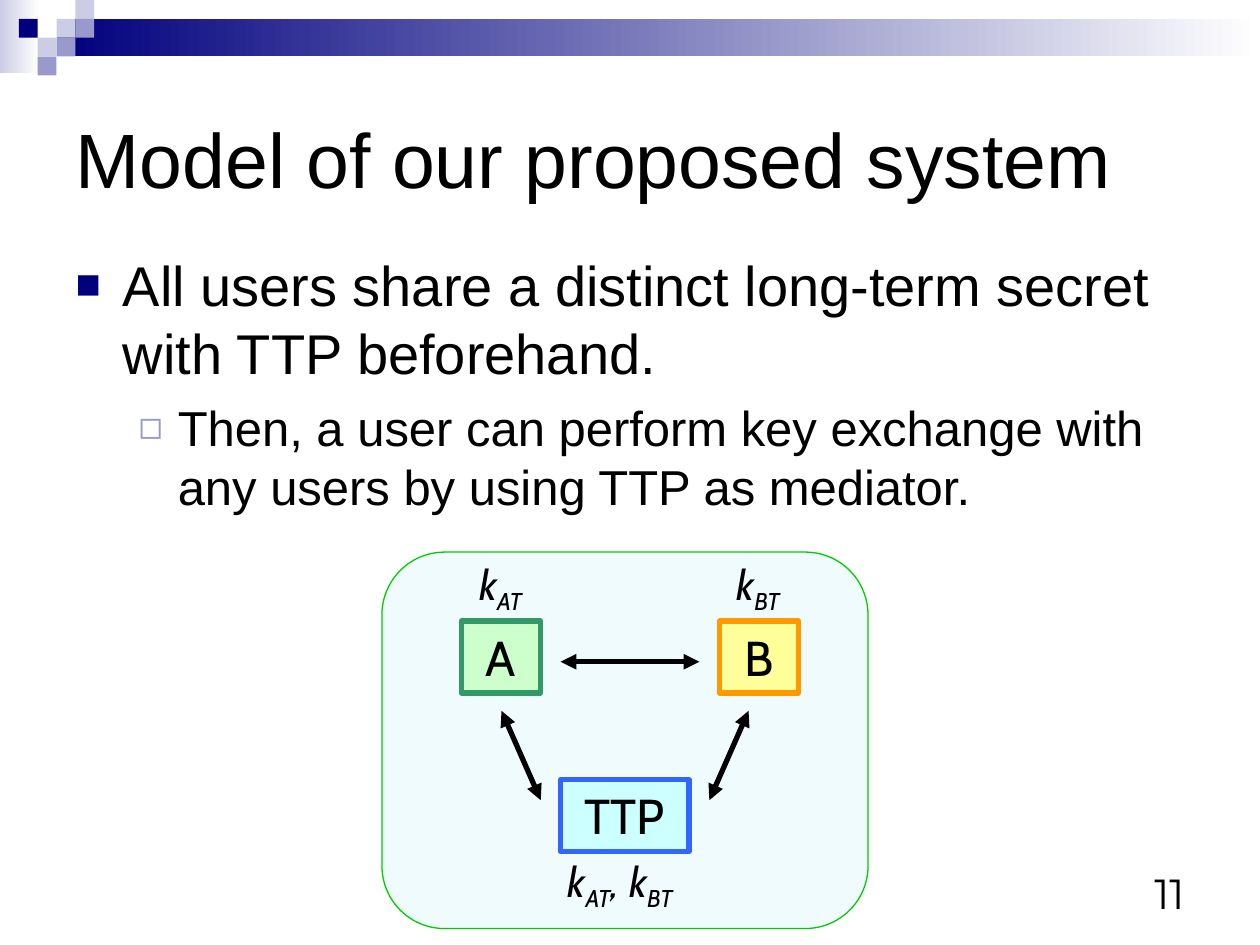
from lxml.etree import SubElement
from pptx import Presentation
from pptx.dml.color import RGBColor
from pptx.enum.shapes import MSO_CONNECTOR, MSO_SHAPE
from pptx.enum.text import MSO_ANCHOR, MSO_AUTO_SIZE, PP_ALIGN
from pptx.oxml.ns import qn
from pptx.util import Cm, Pt

BLACK = RGBColor(0x00, 0x00, 0x00)
WHITE = RGBColor(0xFF, 0xFF, 0xFF)
NAVY = RGBColor(0x00, 0x00, 0x7D)
LAVENDER = RGBColor(0x99, 0x99, 0xCC)
PALE_LAVENDER = RGBColor(0xCC, 0xCC, 0xE6)
PANEL_FILL = RGBColor(0xF0, 0xFB, 0xFE)
PANEL_LINE = RGBColor(0x00, 0xCC, 0x00)
GREEN_FILL = RGBColor(0xCC, 0xFF, 0xCC)
GREEN_LINE = RGBColor(0x33, 0x99, 0x66)
YELLOW_FILL = RGBColor(0xFF, 0xFF, 0x99)
ORANGE_LINE = RGBColor(0xFF, 0x99, 0x00)
CYAN_FILL = RGBColor(0xCC, 0xFF, 0xFF)
BLUE_LINE = RGBColor(0x33, 0x66, 0xFF)

GRID = 0.38  # side of a decoration square, in cm


class SlideBuilder:
    """Holds the style and the current slide; all lengths are in cm."""

    text_font = "Arial"
    diagram_font = "Cabin"
    number_font = "Montserrat"
    # bullet character, colour, size in percent, left margin, hanging, space before, text size
    levels = [
        ("■", NAVY, 75, 0.95, 0.95, 8, 32),
        ("◻", LAVENDER, 80, 2.06, 0.79, 7, 28),
    ]

    def __init__(self, presentation):
        self.slide = presentation.slides.add_slide(presentation.slide_layouts[1])

    def place(self, shape, box):
        shape.left, shape.top, shape.width, shape.height = (Cm(length) for length in box)

    def add_run(self, paragraph, text, size, font, italic=False, baseline=None):
        run = paragraph.add_run()
        run.text = text
        run.font.size = Pt(size)
        run.font.name = font
        run.font.color.rgb = BLACK
        if italic:
            run.font.italic = True
        if baseline:
            run.font._element.set("baseline", str(baseline * 1000))

    def title(self, text, box):
        shape = self.slide.shapes.title
        self.place(shape, box)
        frame = shape.text_frame
        frame.auto_size = MSO_AUTO_SIZE.NONE
        frame.vertical_anchor = MSO_ANCHOR.MIDDLE
        frame.paragraphs[0].alignment = PP_ALIGN.LEFT
        self.add_run(frame.paragraphs[0], text, 44, self.text_font)

    def bullets(self, items, box):
        """Fill the body placeholder with (level, text) items."""
        shape = self.slide.placeholders[1]
        self.place(shape, box)
        frame = shape.text_frame
        frame.auto_size = MSO_AUTO_SIZE.NONE
        for index, (level, text) in enumerate(items):
            paragraph = frame.add_paragraph() if index else frame.paragraphs[0]
            character, color, percent, margin, hanging, before, size = self.levels[level]
            paragraph.level = level
            paragraph.space_before = Pt(before)
            properties = paragraph._p.get_or_add_pPr()
            properties.set("marL", str(Cm(margin)))
            properties.set("indent", str(-Cm(hanging)))
            bullet_color = SubElement(properties, qn("a:buClr"))
            SubElement(bullet_color, qn("a:srgbClr"), val=str(color))
            SubElement(properties, qn("a:buSzPct"), val=str(percent * 1000))
            SubElement(properties, qn("a:buFont"), typeface=self.text_font)
            SubElement(properties, qn("a:buChar"), char=character)
            self.add_run(paragraph, text, size, self.text_font)

    def shape(self, box, fill=None, line=None, width=0.75, kind=MSO_SHAPE.RECTANGLE):
        shape = self.slide.shapes.add_shape(kind, *(Cm(length) for length in box))
        shape.shadow.inherit = False
        if fill is not None:
            shape.fill.solid()
            shape.fill.fore_color.rgb = fill
        if line is None:
            shape.line.fill.background()
        else:
            shape.line.color.rgb = line
            shape.line.width = Pt(width)
        return shape

    def fade(self, box, color):
        """Rectangle that fades from the colour at the left to white."""
        fill = self.shape(box).fill
        fill.gradient()
        fill.gradient_angle = 0
        for stop, stop_color in zip(fill.gradient_stops, (color, WHITE)):
            stop.color.rgb = stop_color

    def party(self, name, box, fill, line):
        frame = self.shape(box, fill, line, 3).text_frame
        frame.auto_size = MSO_AUTO_SIZE.SHAPE_TO_FIT_TEXT
        frame.vertical_anchor = MSO_ANCHOR.TOP
        frame.paragraphs[0].alignment = PP_ALIGN.CENTER
        self.add_run(frame.paragraphs[0], name, 28, self.diagram_font)

    def text_box(self, box, alignment, wrap):
        frame = self.slide.shapes.add_textbox(*(Cm(length) for length in box)).text_frame
        frame.word_wrap = wrap
        frame.paragraphs[0].alignment = alignment
        return frame

    def keys(self, owners, box):
        """Key symbols, each a k with its owners as subscript."""
        frame = self.text_box(box, PP_ALIGN.CENTER, False)
        frame.auto_size = MSO_AUTO_SIZE.SHAPE_TO_FIT_TEXT
        paragraph = frame.paragraphs[0]
        for index, owner in enumerate(owners):
            self.add_run(paragraph, ", k" if index else "k", 24, self.diagram_font, True)
            self.add_run(paragraph, owner, 24, self.diagram_font, True, -25)

    def double_arrow(self, *ends):
        connector = self.slide.shapes.add_connector(
            MSO_CONNECTOR.STRAIGHT, *(Cm(length) for length in ends))
        connector.line.color.rgb = BLACK
        connector.line.width = Pt(3)
        line = connector.line._get_or_add_ln()
        for end in ("a:headEnd", "a:tailEnd"):
            SubElement(line, qn(end), type="triangle")
        SubElement(connector._element.spPr, qn("a:effectLst"))

    def page_number(self, text, box):
        frame = self.text_box(box, PP_ALIGN.RIGHT, True)
        frame.vertical_anchor = MSO_ANCHOR.BOTTOM
        self.add_run(frame.paragraphs[0], text, 24, self.number_font)


def main():
    presentation = Presentation()
    presentation.slide_width, presentation.slide_height = Cm(25.4), Cm(19.05)
    builder = SlideBuilder(presentation)

    builder.fade((0, 0, 0.79, 1.47), PALE_LAVENDER)
    builder.fade((3 * GRID, GRID, 25.4 - 3 * GRID, 2 * GRID), NAVY)
    squares = [
        (3, 1, PALE_LAVENDER), (4, 0, PALE_LAVENDER), (4, 1, LAVENDER), (2, 2, PALE_LAVENDER),
        (1, 1, NAVY), (3, 2, LAVENDER), (2, 3, LAVENDER),
    ]
    for column, row, color in squares:
        builder.shape((column * GRID, row * GRID, GRID, GRID), color)

    builder.title("Model of our proposed system", (1.27, 1.27, 22.86, 3.81))
    builder.bullets([
        (0, "All users share a distinct long-term secret with TTP beforehand."),
        (1, "Then, a user can perform key exchange with any users by using TTP as mediator."),
    ], (1.27, 4.93, 22.86, 10.8))

    builder.shape((7.7, 11.13, 9.8, 7.59), PANEL_FILL, PANEL_LINE,
                  kind=MSO_SHAPE.ROUNDED_RECTANGLE)
    builder.party("TTP", (11.3, 15.72, 2.59, 1.45), CYAN_FILL, BLUE_LINE)
    builder.party("A", (9.3, 12.52, 1.6, 1.45), GREEN_FILL, GREEN_LINE)
    builder.party("B", (14.5, 12.52, 1.6, 1.45), YELLOW_FILL, ORANGE_LINE)
    builder.keys(["AT"], (9.37, 11.13, 1.45, 1.42))
    builder.keys(["BT"], (14.5, 11.13, 1.57, 1.42))
    builder.keys(["AT", "BT"], (10.97, 17.12, 3.07, 1.42))
    builder.double_arrow(11.3, 13.34, 14.1, 13.34)
    builder.double_arrow(10.11, 14.33, 10.9, 16.13)
    builder.double_arrow(15.09, 14.33, 14.3, 16.13)
    builder.page_number("11", (18.21, 17.35, 5.92, 1.27))

    presentation.save("out.pptx")


if __name__ == "__main__":
    main()
